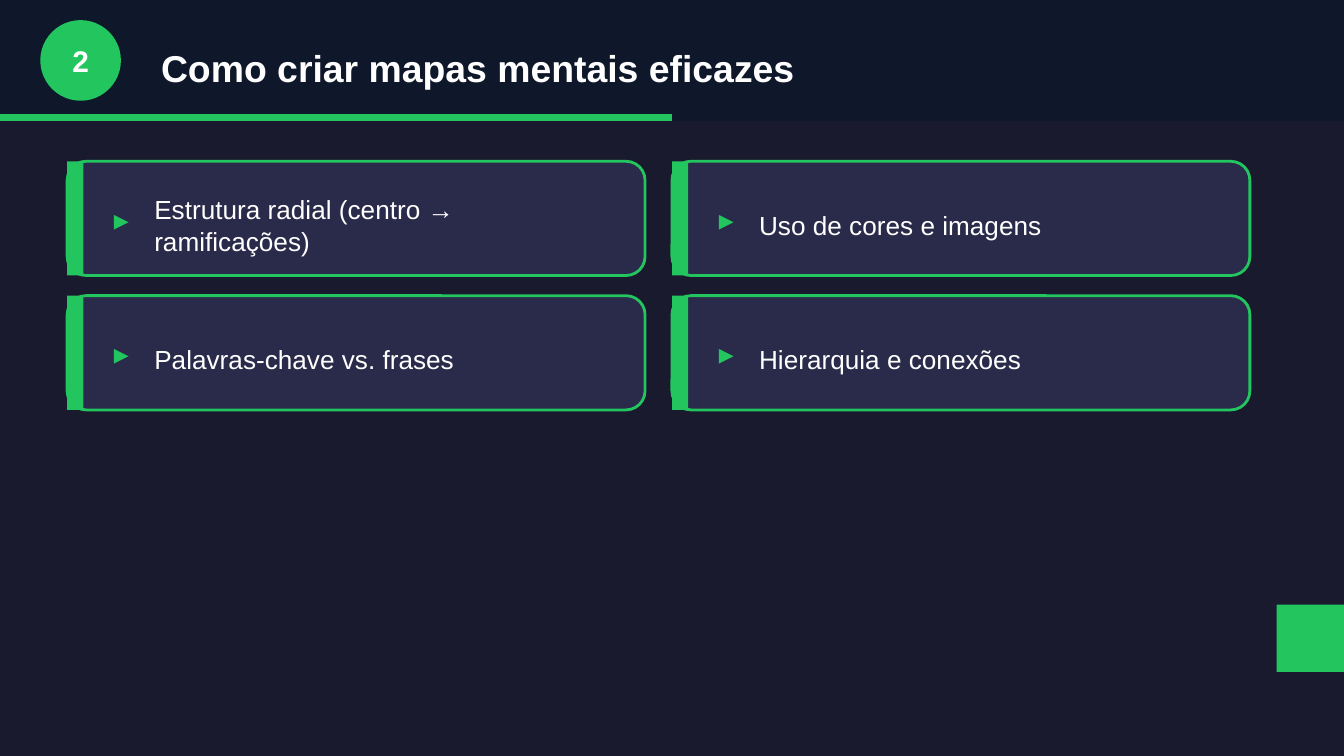
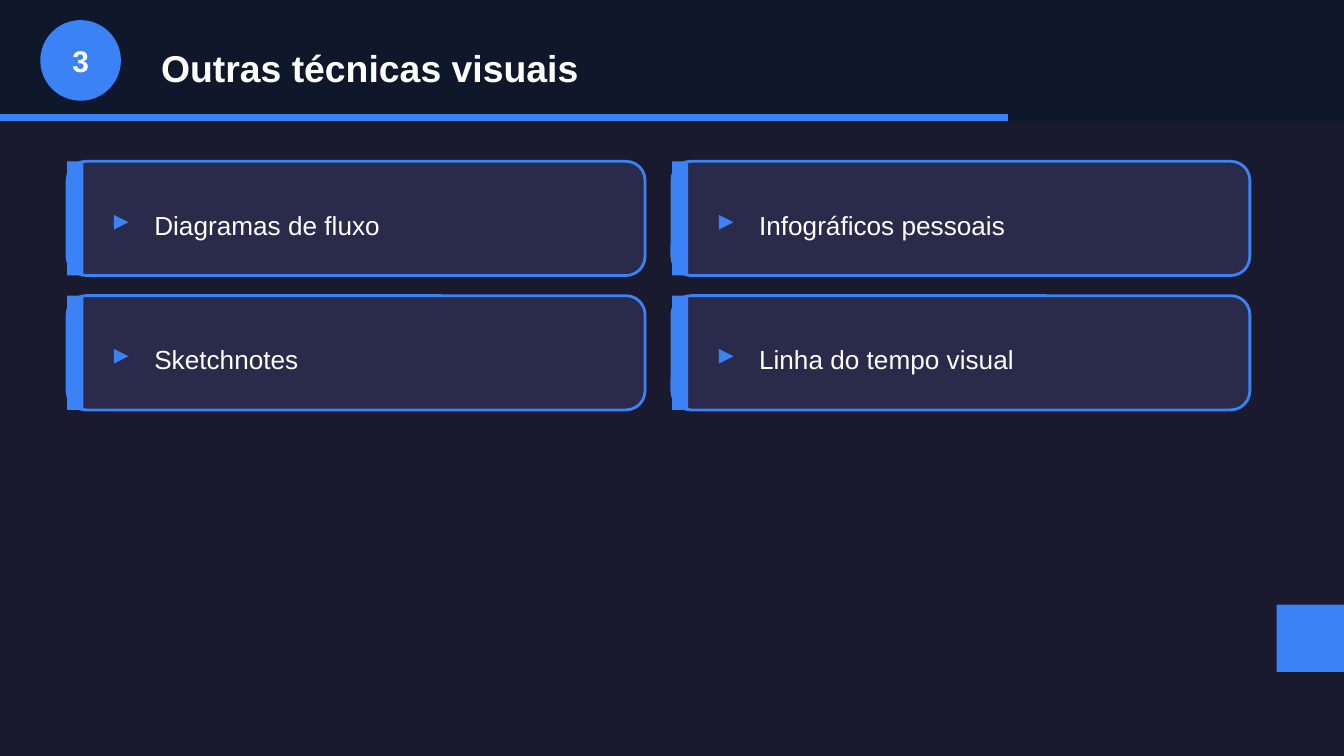
import pptx
import pptx.dml.color
import pptx.enum.shapes
import pptx.enum.text
import pptx.util

EMU_PER_PX = 4572
WIDTH, HEIGHT = 2000, 1125
SECTION_COUNT = 4
COLORS = {
    "background": "1A1A2E",
    "header": "0F172A",
    "card": "2A2A4A",
    "text": "FFFFFF",
    "green": "22C55E",
    "blue": "3B82F6",
}
FORMATS = {
    "number": {"size": pptx.util.Pt(16), "bold": True},
    "title": {"size": pptx.util.Pt(20), "bold": True},
    "marker": {"size": pptx.util.Pt(16), "bold": True},
    "topic": {"size": pptx.util.Pt(14), "bold": False},
}
SECTIONS = [
    (2, "Como criar mapas mentais eficazes", "green", [
        "Estrutura radial (centro → ramificações)",
        "Uso de cores e imagens",
        "Palavras-chave vs. frases",
        "Hierarquia e conexões",
    ]),
    (3, "Outras técnicas visuais", "blue", [
        "Diagramas de fluxo",
        "Infográficos pessoais",
        "Sketchnotes",
        "Linha do tempo visual",
    ]),
]


def px(*lengths):
    return [pptx.util.Emu(length * EMU_PER_PX) for length in lengths]


def rgb(color):
    return pptx.dml.color.RGBColor.from_string(COLORS[color])


class Deck:
    def __init__(self):
        self.presentation = pptx.Presentation()
        self.presentation.slide_width, self.presentation.slide_height = px(WIDTH, HEIGHT)
        self.slide = None
        self.accent = None

    def start_slide(self, accent):
        self.slide = self.presentation.slides.add_slide(self.presentation.slide_layouts[6])
        self.accent = accent
        background = self.slide.background.fill
        background.solid()
        background.fore_color.rgb = rgb("background")

    def shape(self, kind, box, color, outline=None):
        preset = getattr(pptx.enum.shapes.MSO_SHAPE, kind)
        shape = self.slide.shapes.add_shape(preset, *px(*box))
        shape.shadow.inherit = False
        shape.fill.solid()
        shape.fill.fore_color.rgb = rgb(color)
        if outline:
            shape.line.color.rgb = rgb(outline)
            shape.line.width = pptx.util.Pt(1.5)
        else:
            shape.line.fill.background()

    def text(self, wording, box, style, color="text", align="LEFT"):
        frame = self.slide.shapes.add_textbox(*px(*box)).text_frame
        frame.word_wrap = True
        frame.vertical_anchor = pptx.enum.text.MSO_ANCHOR.MIDDLE
        paragraph = frame.paragraphs[0]
        paragraph.alignment = getattr(pptx.enum.text.PP_ALIGN, align)
        run = paragraph.add_run()
        run.text = wording
        for attribute, value in {"name": "Arial", **FORMATS[style]}.items():
            setattr(run.font, attribute, value)
        run.font.color.rgb = rgb(color)

    def header(self, number, title):
        self.shape("RECTANGLE", (0, 0, WIDTH, 180), "header")
        self.shape("RECTANGLE", (0, 170, WIDTH * number // SECTION_COUNT, 10), self.accent)
        self.shape("OVAL", (60, 30, 120, 120), self.accent)
        self.text(str(number), (60, 50, 120, 80), "number", align="CENTER")
        self.text(title, (220, 50, 1700, 100), "title")

    def card(self, topic, left, top):
        self.shape("ROUNDED_RECTANGLE", (left, top, 860, 170), "card", self.accent)
        self.shape("RECTANGLE", (left, top, 24, 170), self.accent)
        self.text("▸", (left + 50, top + 50, 60, 70), "marker", self.accent)
        self.text(topic, (left + 110, top + 50, 700, 90), "topic")

    def corner_block(self):
        self.shape("RECTANGLE", (WIDTH - 100, 900, 100, 100), self.accent)


def main():
    deck = Deck()
    for number, title, accent, topics in SECTIONS:
        deck.start_slide(accent)
        deck.header(number, title)
        for index, topic in enumerate(topics):
            row, column = divmod(index, 2)
            deck.card(topic, 100 + 900 * column, 240 + 200 * row)
        deck.corner_block()
    deck.presentation.save("out.pptx")


if __name__ == "__main__":
    main()
